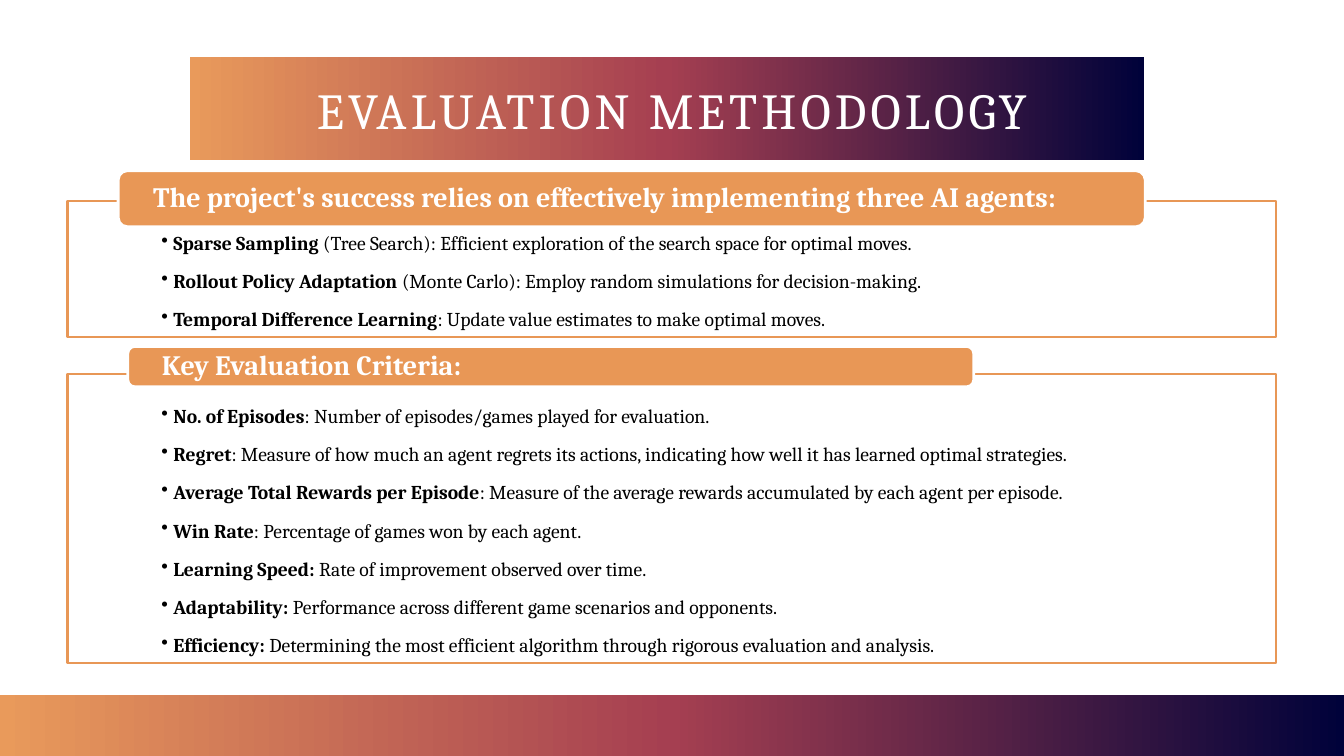
from lxml import etree
from pptx import Presentation
from pptx import util as u
from pptx.dml.color import RGBColor
from pptx.enum import shapes, text
from pptx.oxml import parse_xml
from pptx.oxml.ns import nsdecls, qn

TITLE = "EVALUATION METHODOLOGY"

# Each section: heading, heading box, panel box (left, top, width, height), bullets (bold, regular)
SECTIONS = [
    {
        "heading": "The project's success relies on effectively implementing three AI agents:",
        "heading_box": (84.4, 121.9, 733.7, 40.1),
        "panel_box": (48.2, 143.4, 863.3, 97.2),
        "bullets": [
            ("Sparse Sampling ", "(Tree Search): Efficient exploration of the search space for optimal moves."),
            ("Rollout Policy Adaptation ", "(Monte Carlo): Employ random simulations for decision-making."),
            ("Temporal Difference Learning", ": Update value estimates to make optimal moves."),
        ],
    },
    {
        "heading": "Key Evaluation Criteria:",
        "heading_box": (91.3, 247.5, 604.2, 28.8),
        "panel_box": (48.2, 267.1, 863.3, 206.6),
        "bullets": [
            ("No. of Episodes", ": Number of episodes/games played for evaluation."),
            ("Regret", ": Measure of how much an agent regrets its actions, "
                       "indicating how well it has learned optimal strategies."),
            ("Average Total Rewards per Episode",
             ": Measure of the average rewards accumulated by each agent per episode."),
            ("Win Rate", ": Percentage of games won by each agent."),
            ("Learning Speed: ", "Rate of improvement observed over time."),
            ("Adaptability:", " Performance across different game scenarios and opponents."),
            ("Efficiency: ", "Determining the most efficient algorithm through rigorous evaluation and analysis."),
        ],
    },
]

COLOURS = {"navy": "00023A", "crimson": "A53F51", "apricot": "E99A5B",
           "orange": "E89756", "white": "FFFFFF", "black": "000000"}
GRADIENT = [(0, "navy"), (50, "crimson"), (100, "apricot")]
FONT = "Cambria"
SLIDE_SIZE = (960, 540)
TITLE_BOX = (66.2, 28.8, 828, 104.4)
TITLE_BAND = (135.4, 40.6, 681.8, 73.8)
FOOTER_BAND = (0, 496.4, 960, 43.6)
BULLET_INDENT = 8.64


def colour(name):
    return RGBColor.from_string(COLOURS[name])


def add_box(slide, kind, box):
    shape = slide.shapes.add_shape(kind, *map(u.Pt, box))
    shape.shadow.inherit = False
    return shape


def add_band(slide, box):
    """Rectangle whose gradient runs from apricot on the left to navy."""
    shape = slide.shapes.add_shape(shapes.MSO_SHAPE.RECTANGLE, *map(u.Pt, box))
    stops = "".join(f'<a:gs pos="{position * 1000}"><a:srgbClr val="{COLOURS[name]}"/></a:gs>'
                    for position, name in GRADIENT)
    shape._element.spPr.append(parse_xml(
        f'<a:gradFill {nsdecls("a")} rotWithShape="1"><a:gsLst>{stops}</a:gsLst>'
        '<a:lin ang="10800000" scaled="0"/></a:gradFill>'))
    shape.line.fill.background()
    shape.shadow.inherit = False


def paint(shape, fill, line, line_width):
    shape.fill.solid()
    shape.fill.fore_color.rgb = colour(fill)
    shape.line.color.rgb = colour(line)
    shape.line.width = u.Pt(line_width)


def set_frame(shape, anchor, left, top, bottom):
    frame = shape.text_frame
    frame.word_wrap = True
    frame.vertical_anchor = anchor
    frame.margin_left = frame.margin_right = u.Pt(left)
    frame.margin_top, frame.margin_bottom = u.Pt(top), u.Pt(bottom)
    return frame


def add_run(paragraph, words, size, ink, bold=False):
    run = paragraph.add_run()
    run.text = words
    run.font.name = FONT
    run.font.size = u.Pt(size)
    run.font.bold = bold
    run.font.color.rgb = colour(ink)
    return run


def set_space_after(paragraph, percent):
    space = etree.SubElement(paragraph._p.get_or_add_pPr(), qn("a:spcAft"))
    etree.SubElement(space, qn("a:spcPct")).set("val", str(percent * 1000))


def add_title(slide):
    title = slide.shapes.add_textbox(*map(u.Pt, TITLE_BOX))
    paragraph = set_frame(title, text.MSO_ANCHOR.MIDDLE, 7.2, 3.6, 3.6).paragraphs[0]
    paragraph.alignment = text.PP_ALIGN.CENTER
    paragraph.line_spacing = 0.9
    run = add_run(paragraph, TITLE, 36, "white")
    run.font._element.set("spc", "300")


def add_panel(slide, box, bullets):
    panel = add_box(slide, shapes.MSO_SHAPE.RECTANGLE, box)
    paint(panel, "white", "orange", 1.5)
    fill_colour = panel._element.spPr.find(qn("a:solidFill"))[0]
    etree.SubElement(fill_colour, qn("a:alpha")).set("val", "90000")
    frame = set_frame(panel, text.MSO_ANCHOR.TOP, 67, 13, 8)
    for index, (term, description) in enumerate(bullets):
        paragraph = frame.add_paragraph() if index else frame.paragraphs[0]
        paragraph.alignment = text.PP_ALIGN.LEFT
        paragraph.level = 1
        paragraph.line_spacing = 1.5
        set_space_after(paragraph, 15)
        properties = paragraph._p.get_or_add_pPr()
        properties.set("marL", str(u.Pt(BULLET_INDENT)))
        properties.set("indent", str(-u.Pt(BULLET_INDENT)))
        etree.SubElement(properties, qn("a:buChar")).set("char", "•")
        add_run(paragraph, term, 14, "black", bold=True)
        add_run(paragraph, description, 14, "black")


def add_heading(slide, box, words):
    heading = add_box(slide, shapes.MSO_SHAPE.ROUNDED_RECTANGLE, box)
    paint(heading, "orange", "white", 2)
    paragraph = set_frame(heading, text.MSO_ANCHOR.MIDDLE, 23, 0, 0).paragraphs[0]
    paragraph.alignment = text.PP_ALIGN.LEFT
    paragraph.line_spacing = 0.9
    set_space_after(paragraph, 35)
    add_run(paragraph, words, 20, "white", bold=True)


def main():
    presentation = Presentation()
    presentation.slide_width, presentation.slide_height = map(u.Pt, SLIDE_SIZE)
    slide = presentation.slides.add_slide(presentation.slide_layouts[6])
    add_band(slide, TITLE_BAND)
    add_title(slide)
    add_band(slide, FOOTER_BAND)
    for section in SECTIONS:
        add_panel(slide, section["panel_box"], section["bullets"])
        add_heading(slide, section["heading_box"], section["heading"])
    presentation.save("out.pptx")


if __name__ == "__main__":
    main()
